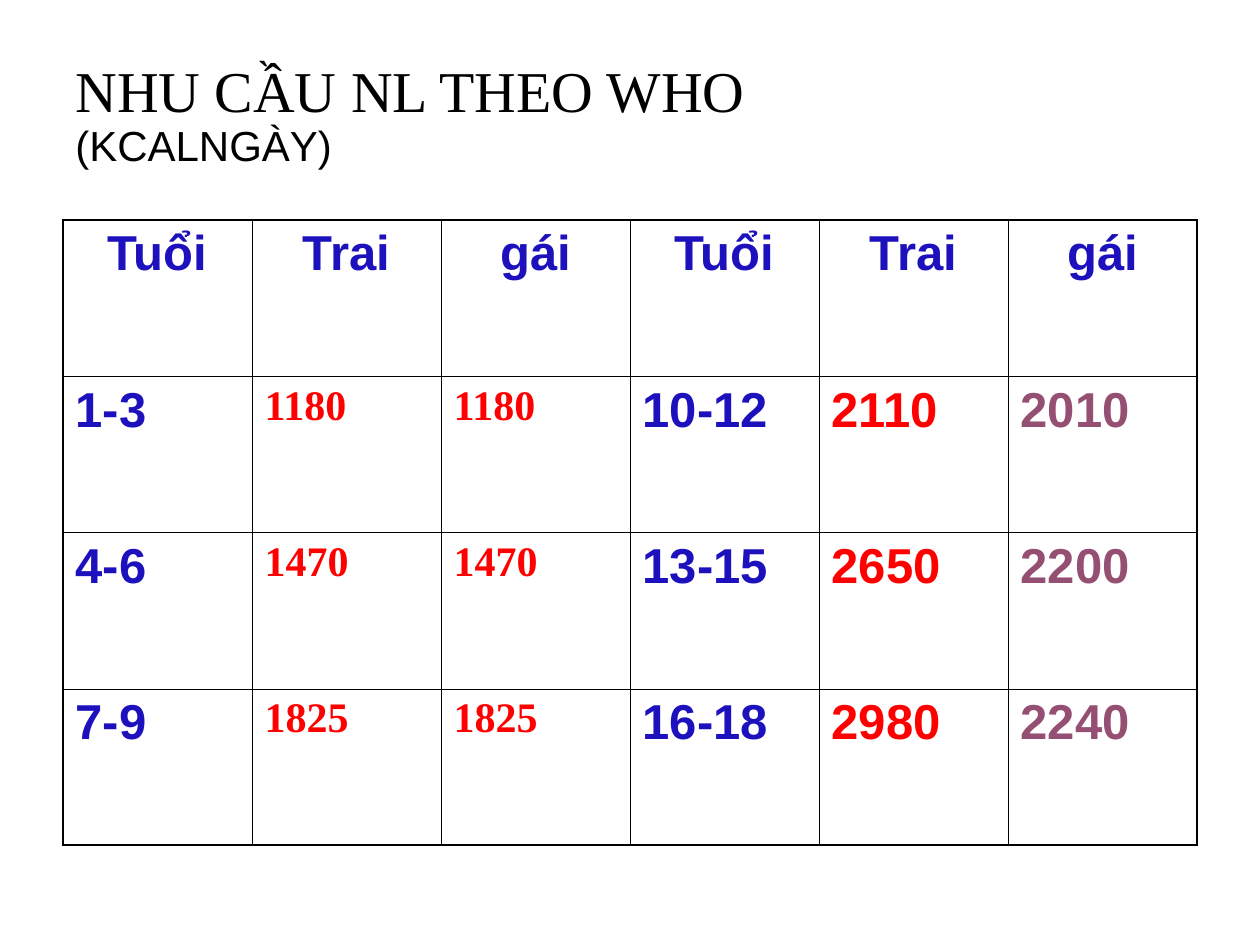
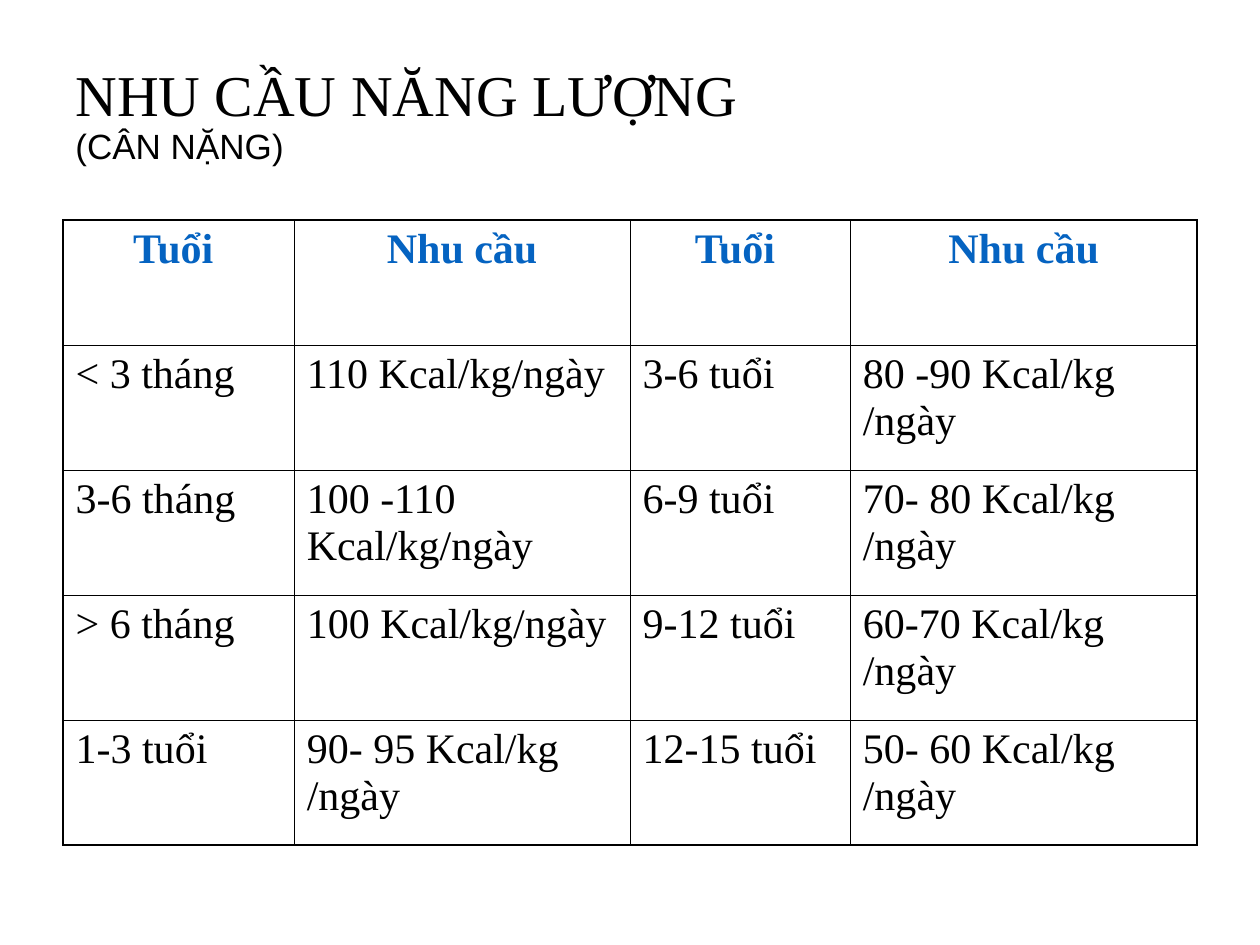
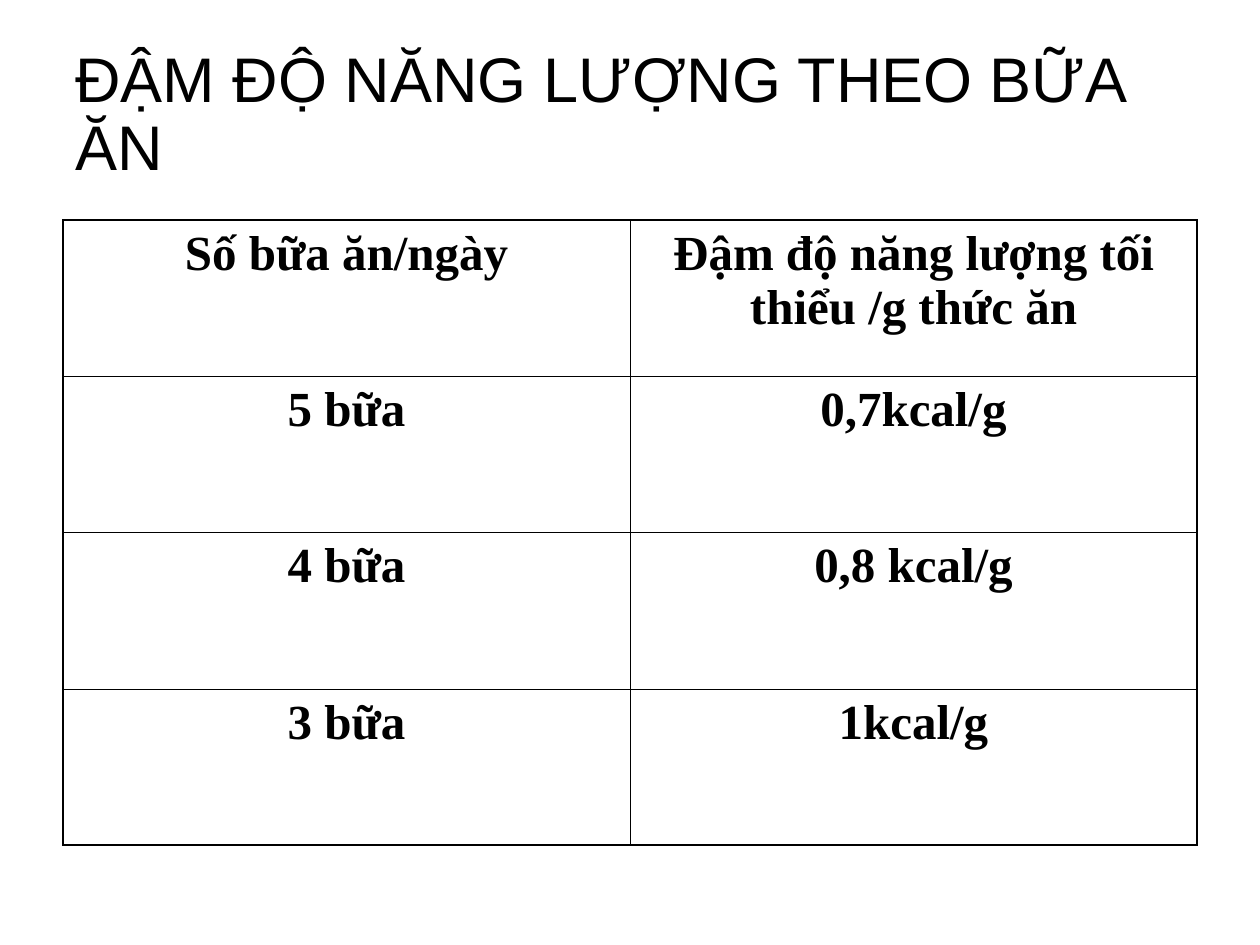
import dataclasses

import lxml.etree
import pptx
import pptx.dml.color
import pptx.enum.text
import pptx.oxml.ns
import pptx.util

Cm = pptx.util.Cm
Pt = pptx.util.Pt


@dataclasses.dataclass(frozen=True)
class Theme:
    sans: str = "Arial"
    serif: str = "Times New Roman"
    black: str = "000000"
    white: str = "FFFFFF"
    indigo: str = "1D11BD"
    red: str = "FF0000"
    plum: str = "954F72"
    blue: str = "0563C1"
    title_size: float = 33
    wide_title_size: float = 36
    large: float = 28
    medium: float = 24
    small: float = 20
    title_spacing: float = 0.9
    outer_line: float = 1.08
    inner_line: float = 0.45


theme = Theme()


def style_span(span, font, size, color, bold=False):
    span.font.name = font
    span.font.size = Pt(size)
    span.font.bold = bold
    span.font.color.rgb = pptx.dml.color.RGBColor.from_string(color)


def add_border(cell, side, width):
    properties = cell._tc.get_or_add_tcPr()
    line = lxml.etree.SubElement(properties, pptx.oxml.ns.qn("a:ln" + side), w=str(Pt(width)))
    fill = lxml.etree.SubElement(line, pptx.oxml.ns.qn("a:solidFill"))
    lxml.etree.SubElement(fill, pptx.oxml.ns.qn("a:srgbClr"), val=theme.black)


# Text styles: font, size, colour, bold
age_style = (theme.sans, theme.large, theme.indigo, True)
young_style = (theme.serif, theme.medium, theme.red, True)
boy_style = (theme.sans, theme.large, theme.red, True)
girl_style = (theme.sans, theme.large, theme.plum, True)
need_header = (theme.serif, theme.medium, theme.blue, True)
need_style = (theme.serif, theme.medium, theme.black, False)
meal_style = (theme.serif, theme.large, theme.black, True)

# Content of each page
pages = [
    {
        "title": [
            ("NHU CẦU NL THEO WHO", theme.serif, theme.title_size),
            ("(KCALNGÀY)", theme.sans, theme.medium),
        ],
        "widths": [3.81] * 6,
        "header_style": age_style,
        "column_styles": [age_style, young_style, young_style, age_style, boy_style, girl_style],
        "centred_body": False,
        "rows": [
            ["Tuổi", "Trai", "gái", "Tuổi", "Trai", "gái"],
            ["1-3", "1180", "1180", "10-12", "2110", "2010"],
            ["4-6", "1470", "1470", "13-15", "2650", "2200"],
            ["7-9", "1825", "1825", "16-18", "2980", "2240"],
        ],
    },
    {
        "title": [
            ("NHU CẦU NĂNG LƯỢNG", theme.serif, theme.title_size),
            ("(CÂN NẶNG)", theme.sans, theme.small),
        ],
        "widths": [4.66, 6.77, 4.44, 6.99],
        "header_style": need_header,
        "column_styles": [need_style] * 4,
        "centred_body": False,
        "rows": [
            ["Tuổi ", "Nhu cầu", "Tuổi ", "Nhu cầu"],
            ["< 3 tháng", "110 Kcal/kg/ngày", "3-6 tuổi", "80 -90 Kcal/kg /ngày"],
            ["3-6 tháng", "100 -110 Kcal/kg/ngày", "6-9 tuổi", "70- 80 Kcal/kg /ngày"],
            ["> 6 tháng", "100 Kcal/kg/ngày", "9-12 tuổi", "60-70 Kcal/kg /ngày"],
            ["1-3 tuổi", "90- 95 Kcal/kg /ngày", "12-15 tuổi", "50- 60 Kcal/kg /ngày"],
        ],
    },
    {
        "title": [("ĐẬM ĐỘ NĂNG LƯỢNG THEO BỮA ĂN", theme.sans, theme.wide_title_size)],
        "widths": [11.43] * 2,
        "header_style": meal_style,
        "column_styles": [meal_style] * 2,
        "centred_body": True,
        "rows": [
            ["Số bữa ăn/ngày", "Đậm độ năng lượng tối thiểu /g thức ăn"],
            ["5 bữa", "0,7kcal/g"],
            ["4 bữa", "0,8 kcal/g"],
            ["3 bữa", "1kcal/g"],
        ],
    },
]

# Shared geometry in centimetres
left, content_width = 1.27, 22.86
title_top, title_height = 0.76, 3.18
table_top, table_height = 4.44, 12.6

deck = pptx.Presentation()
deck.slide_width = Cm(25.4)
deck.slide_height = Cm(19.05)

for content in pages:
    page = deck.slides.add_slide(deck.slide_layouts[6])

    # Title, one span per line
    box = page.shapes.add_textbox(Cm(left), Cm(title_top), Cm(content_width), Cm(title_height))
    box.text_frame.word_wrap = True
    box.text_frame.vertical_anchor = pptx.enum.text.MSO_ANCHOR.MIDDLE
    para = box.text_frame.paragraphs[0]
    para.text = "\v".join(line[0] for line in content["title"])
    para.line_spacing = theme.title_spacing
    for span, (_, font, size) in zip(para.runs, content["title"]):
        style_span(span, font, size, theme.black)

    # Table with equal row heights
    rows, widths = content["rows"], content["widths"]
    frame = page.shapes.add_table(len(rows), len(widths), Cm(left), Cm(table_top),
                                  Cm(content_width), Cm(table_height))
    table = frame.table
    table.first_row = False
    table.horz_banding = False
    for column, width in zip(table.columns, widths):
        column.width = Cm(width)
    for row in table.rows:
        row.height = Cm(table_height / len(rows))

    # Cells: thick lines outside, thin lines inside
    for r, texts in enumerate(rows):
        for c, text in enumerate(texts):
            cell = table.cell(r, c)
            outer_sides = {
                "L": c == 0,
                "R": c == len(widths) - 1,
                "T": r == 0,
                "B": r == len(rows) - 1,
            }
            for side, is_outer in outer_sides.items():
                add_border(cell, side, theme.outer_line if is_outer else theme.inner_line)
            cell.fill.solid()
            cell.fill.fore_color.rgb = pptx.dml.color.RGBColor.from_string(theme.white)
            para = cell.text_frame.paragraphs[0]
            para.text = text
            if r == 0 or content["centred_body"]:
                para.alignment = pptx.enum.text.PP_ALIGN.CENTER
            style = content["header_style"] if r == 0 else content["column_styles"][c]
            style_span(para.runs[0], *style)

deck.save("out.pptx")
